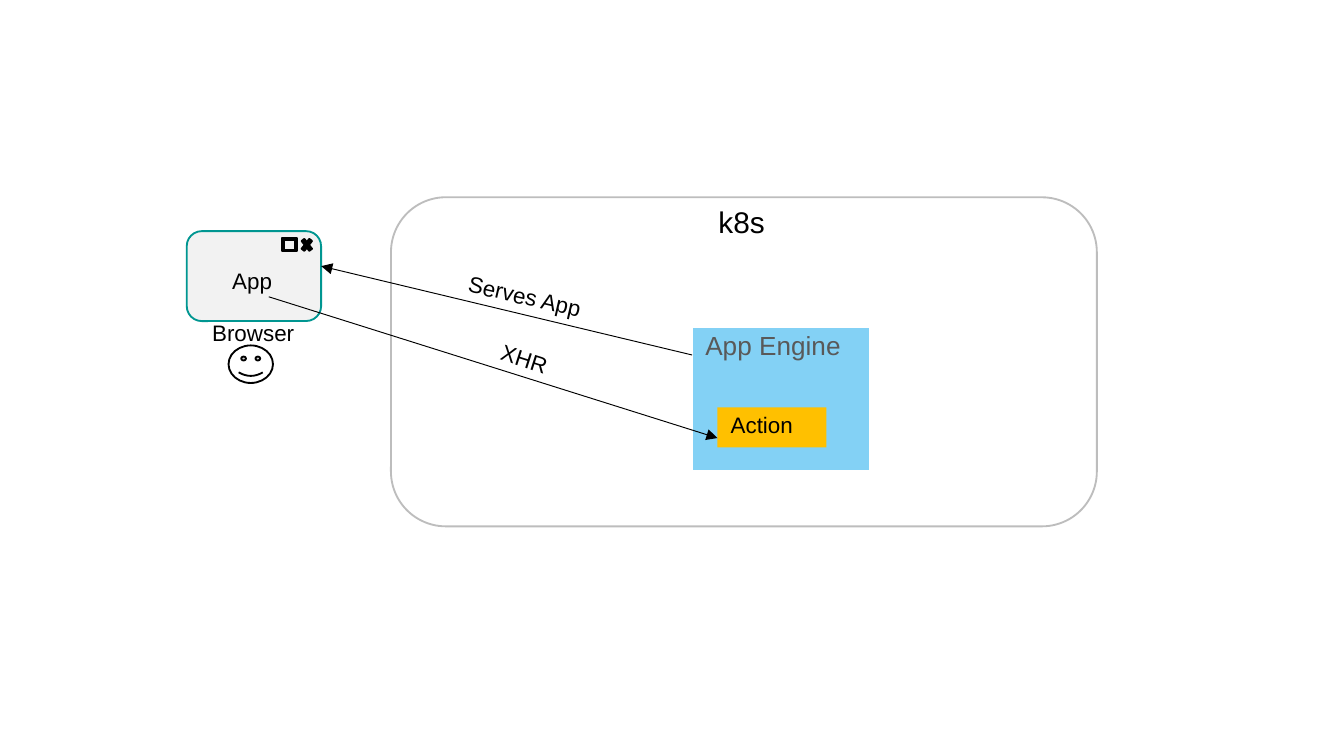
from dataclasses import dataclass
from typing import Optional

from lxml import etree
from pptx import Presentation
from pptx.dml.color import RGBColor
from pptx.enum.shapes import MSO_CONNECTOR, MSO_SHAPE
from pptx.enum.text import MSO_ANCHOR, PP_ALIGN
from pptx.oxml.ns import qn
from pptx.util import Cm, Pt

BROWSER = MSO_SHAPE.FLOWCHART_ALTERNATE_PROCESS
ROUNDED = MSO_SHAPE.ROUNDED_RECTANGLE
RECTANGLE = MSO_SHAPE.RECTANGLE
SMILEY = MSO_SHAPE.SMILEY_FACE
MULTIPLY = MSO_SHAPE.MATH_MULTIPLY
FRAME = MSO_SHAPE.FRAME
STRAIGHT = MSO_CONNECTOR.STRAIGHT
LEFT = PP_ALIGN.LEFT
TOP = MSO_ANCHOR.TOP
MIDDLE = MSO_ANCHOR.MIDDLE


@dataclass(frozen=True)
class Theme:
    font: str = "Arial"
    black: str = "000000"
    white: str = "FFFFFF"
    grey_text: str = "595959"
    browser_fill: str = "F2F2F2"
    browser_line: str = "009691"
    cluster_line: str = "BDBDBD"
    engine: str = "83D1F5"
    action: str = "FFC000"
    title_size: int = 16
    engine_size: int = 14
    label_size: int = 12
    line_spacing: float = 0.9


THEME = Theme()


@dataclass(frozen=True)
class Place:
    left: float
    top: float
    width: float
    height: float

    def lengths(self) -> tuple:
        return Cm(self.left), Cm(self.top), Cm(self.width), Cm(self.height)


@dataclass(frozen=True)
class Label:
    text: str
    size: int = THEME.label_size
    color: str = THEME.black
    anchor: MSO_ANCHOR = TOP


@dataclass(frozen=True)
class Block:
    preset: MSO_SHAPE
    place: Place
    fill: Optional[str] = None
    line: Optional[str] = None
    line_width: float = 1
    label: Optional[Label] = None


@dataclass(frozen=True)
class Caption:
    place: Place
    label: Label
    rotation: float = 0


@dataclass(frozen=True)
class Arrow:
    start: tuple[float, float]
    end: tuple[float, float]


BLOCKS = [
    Block(BROWSER, Place(3.53, 4.37, 2.54, 1.7), THEME.browser_fill, THEME.browser_line),
    Block(ROUNDED, Place(7.39, 3.73, 13.34, 6.22), THEME.white, THEME.cluster_line),
    Block(ROUNDED, Place(13.28, 3.73, 1.75, 1.02),
          label=Label("k8s", THEME.title_size, anchor=MIDDLE)),
    Block(RECTANGLE, Place(13.08, 6.17, 3.38, 2.74), THEME.engine, THEME.white, 1.5,
          Label("App Engine", THEME.engine_size, THEME.grey_text)),
    Block(SMILEY, Place(4.32, 6.53, 0.84, 0.71), THEME.white, THEME.black),
    Block(MULTIPLY, Place(5.66, 4.45, 0.28, 0.36), THEME.black, THEME.black),
    Block(FRAME, Place(5.33, 4.5, 0.28, 0.25), THEME.black, THEME.black),
    Block(RECTANGLE, Place(13.56, 7.7, 2.06, 0.76), THEME.action, label=Label("Action")),
]

ARROWS = [
    Arrow((5.08, 5.61), (13.56, 8.28)),
    Arrow((13.08, 6.71), (6.07, 5.03)),
]

CAPTIONS = [
    Caption(Place(8.56, 5.41, 3.89, 0.76), Label("Serves App"), 13),
    Caption(Place(4.14, 4.98, 1.57, 0.91), Label("App")),
    Caption(Place(9.14, 6.83, 3.89, 0.76), Label("XHR"), 17.7),
    Caption(Place(3.76, 5.97, 3.89, 0.76), Label("Browser")),
]


def write_label(box, label: Label) -> None:
    frame = box.text_frame
    frame.word_wrap = True
    frame.vertical_anchor = label.anchor
    frame.text = label.text
    para = frame.paragraphs[0]
    para.alignment = LEFT
    para.line_spacing = THEME.line_spacing
    for span in para.runs:
        span.font.name = THEME.font
        span.font.size = Pt(label.size)
        span.font.color.rgb = RGBColor.from_string(label.color)


def draw_block(page, block: Block) -> None:
    shape = page.shapes.add_shape(block.preset, *block.place.lengths())
    shape.shadow.inherit = False
    if block.fill:
        shape.fill.solid()
        shape.fill.fore_color.rgb = RGBColor.from_string(block.fill)
    else:
        shape.fill.background()
    if block.line:
        shape.line.color.rgb = RGBColor.from_string(block.line)
        shape.line.width = Pt(block.line_width)
    else:
        shape.line.fill.background()
    if block.label:
        write_label(shape, block.label)


def draw_caption(page, caption: Caption) -> None:
    box = page.shapes.add_textbox(*caption.place.lengths())
    box.rotation = caption.rotation
    write_label(box, caption.label)


def draw_arrow(page, arrow: Arrow) -> None:
    ends = [Cm(value) for value in arrow.start + arrow.end]
    connector = page.shapes.add_connector(STRAIGHT, *ends)
    connector.line.color.rgb = RGBColor.from_string(THEME.black)
    connector.line.width = Pt(0.5)
    properties = connector._element.spPr
    etree.SubElement(properties.find(qn("a:ln")), qn("a:tailEnd"), type="triangle")
    etree.SubElement(properties, qn("a:effectLst"))


def main() -> None:
    deck = Presentation()
    deck.slide_width = Cm(25.4)
    deck.slide_height = Cm(14.29)
    page = deck.slides.add_slide(deck.slide_layouts[6])
    for block in BLOCKS:
        draw_block(page, block)
    for arrow in ARROWS:
        draw_arrow(page, arrow)
    for caption in CAPTIONS:
        draw_caption(page, caption)
    deck.save("out.pptx")


if __name__ == "__main__":
    main()
